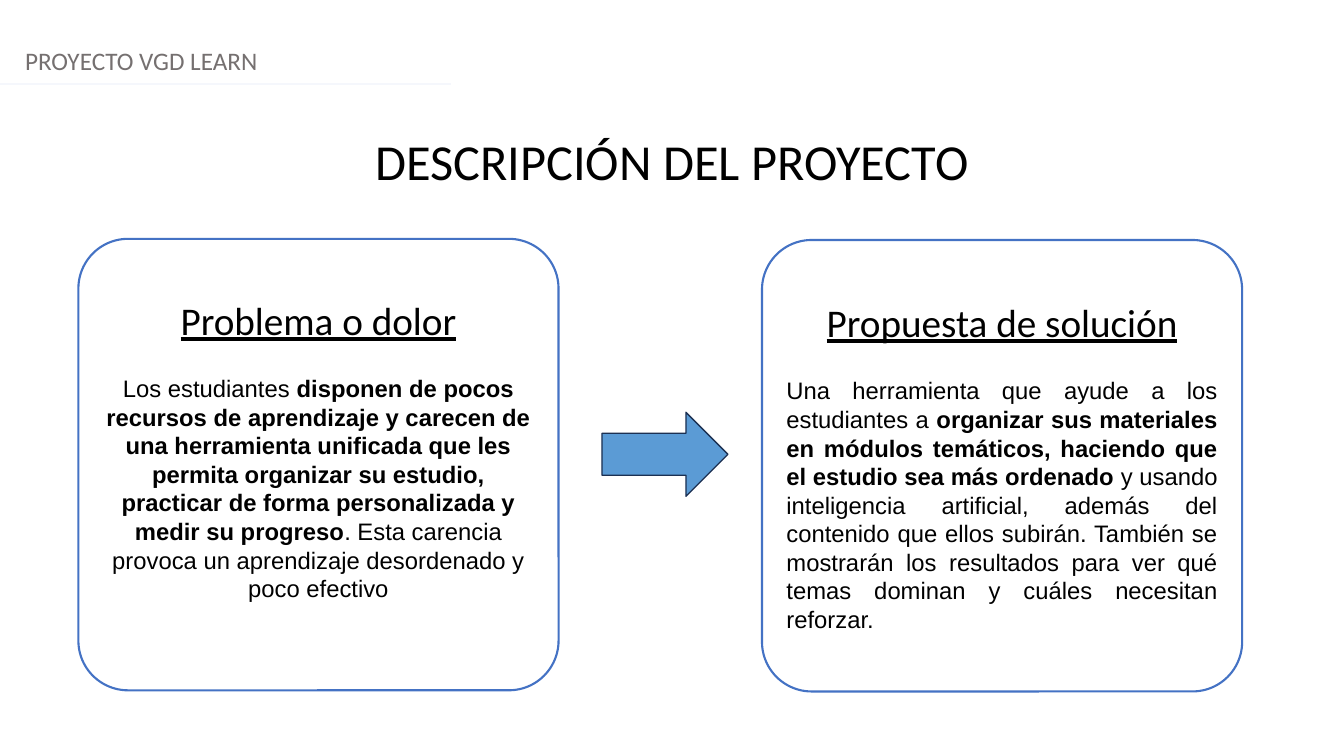
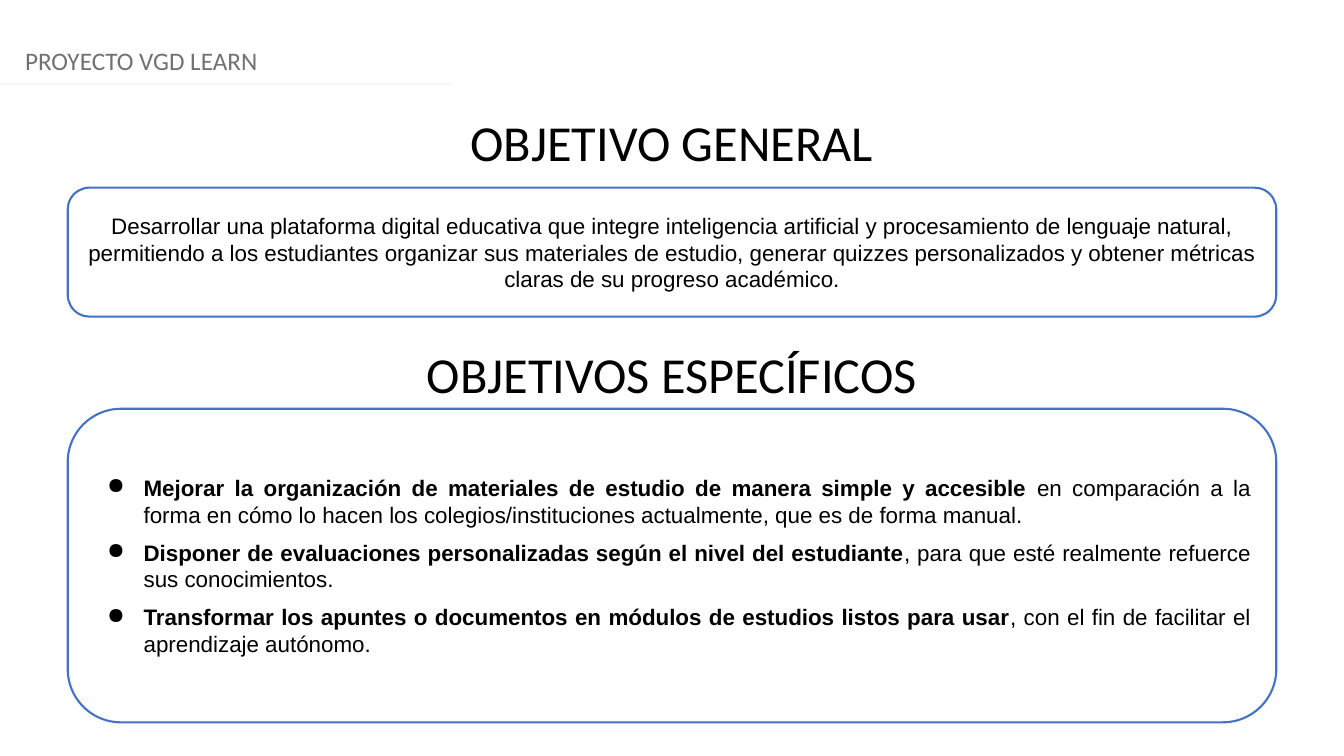
from dataclasses import dataclass

from lxml import etree
from pptx import Presentation
from pptx.dml.color import RGBColor
from pptx.enum import shapes, text
from pptx.oxml import ns
from pptx.util import Pt


@dataclass(frozen=True)
class Theme:
    width: float = 960
    height: float = 540
    heading_font: str = "Calibri"
    body_font: str = "Arial"
    ink: str = "000000"
    header_ink: str = "757070"
    rule: str = "F5F7FC"
    panel: str = "FFFFFF"
    border: str = "4472C4"
    arrow: str = "5B9BD5"
    arrow_border: str = "1C3052"
    header_size: float = 18
    title_size: float = 36
    card_title_size: float = 28
    card_body_size: float = 17
    body_size: float = 16


THEME = Theme()
CENTER = text.PP_ALIGN.CENTER
JUSTIFY = text.PP_ALIGN.JUSTIFY
HEADER = "PROYECTO VGD LEARN"

PROBLEM = [
    ("Los estudiantes ", False),
    ("disponen de pocos recursos de aprendizaje y carecen de una herramienta "
     "unificada que les permita organizar su estudio, practicar de forma "
     "personalizada y medir su progreso", True),
    (". Esta carencia provoca un aprendizaje desordenado y poco efectivo", False),
]
SOLUTION = [
    ("Una herramienta que ayude a los estudiantes a ", False),
    ("organizar sus materiales en módulos temáticos, haciendo que el estudio "
     "sea más ordenado", True),
    (" y usando inteligencia artificial, además del contenido que ellos subirán. "
     "También se mostrarán los resultados para ver qué temas dominan y cuáles "
     "necesitan reforzar.", False),
]
GENERAL_GOAL = [
    ("Desarrollar una plataforma digital educativa que integre inteligencia "
     "artificial y procesamiento de lenguaje natural, permitiendo a los "
     "estudiantes organizar sus materiales de estudio, generar quizzes "
     "personalizados y obtener métricas claras de su progreso académico.", False),
]
SPECIFIC_GOALS = [
    [("Mejorar la organización de materiales de estudio de manera simple y "
      "accesible", True),
     (" en comparación a la forma en cómo lo hacen los colegios/instituciones "
      "actualmente, que es de forma manual.", False)],
    [("Disponer de evaluaciones personalizadas según el nivel del estudiante", True),
     (", para que esté realmente refuerce sus conocimientos.", False)],
    [("Transformar los apuntes o documentos en módulos de estudios listos para "
      "usar", True),
     (", con el fin de facilitar el aprendizaje autónomo.", False)],
]


def points(*values):
    return [Pt(value) for value in values]


def set_attributes(target, values):
    for name, value in values.items():
        setattr(target, name, value)


def fill_paragraph(paragraph, runs, size, font, color=THEME.ink,
                   underline=False, **layout):
    """Write (words, bold) runs; layout holds paragraph attributes."""
    set_attributes(paragraph, layout)
    for words, bold in runs:
        run = paragraph.add_run()
        run.text = words
        set_attributes(run.font, {"size": Pt(size), "name": font, "bold": bold,
                                  "underline": underline})
        run.font.color.rgb = RGBColor.from_string(color)


def add_bullet(paragraph):
    properties = paragraph._p.get_or_add_pPr()
    properties.set("marL", str(Pt(36)))
    properties.set("indent", str(Pt(-26)))
    color = etree.SubElement(properties, ns.qn("a:buClr"))
    etree.SubElement(color, ns.qn("a:srgbClr"), val=THEME.ink)
    etree.SubElement(properties, ns.qn("a:buChar"), char="●")


def add_text_line(slide, box, words, size, color, alignment):
    frame = slide.shapes.add_textbox(*points(*box)).text_frame
    frame.word_wrap = True
    fill_paragraph(frame.paragraphs[0], [(words, False)], size,
                   THEME.heading_font, color, alignment=alignment)


def add_title(slide, top, words):
    add_text_line(slide, (0, top, THEME.width, 51), words,
                  THEME.title_size, THEME.ink, CENTER)


def add_filled_shape(slide, kind, box, fill, border, weight):
    shape = slide.shapes.add_shape(kind, *points(*box))
    shape.shadow.inherit = False
    shape.fill.solid()
    shape.fill.fore_color.rgb = RGBColor.from_string(fill)
    shape.line.color.rgb = RGBColor.from_string(border)
    shape.line.width = Pt(weight)
    return shape


def add_panel(slide, box, rounding):
    """Add an outlined rounded panel and return its text frame."""
    shape = add_filled_shape(slide, shapes.MSO_SHAPE.ROUNDED_RECTANGLE, box,
                             THEME.panel, THEME.border, 1.5)
    shape.adjustments[0] = rounding
    frame = shape.text_frame
    set_attributes(frame, {"word_wrap": True,
                           "vertical_anchor": text.MSO_ANCHOR.MIDDLE})
    return frame


def add_card(slide, box, title, body, alignment, bottom_inset=3.6):
    frame = add_panel(slide, box, 0.11)
    frame.margin_bottom = Pt(bottom_inset)
    fill_paragraph(frame.paragraphs[0], [(title, False)], THEME.card_title_size,
                   THEME.heading_font, underline=True, alignment=CENTER,
                   space_after=Pt(22))
    fill_paragraph(frame.add_paragraph(), body, THEME.card_body_size,
                   THEME.body_font, alignment=alignment)


def add_goal_list(slide, box, goals):
    frame = add_panel(slide, box, 0.17)
    for index, goal in enumerate(goals):
        paragraph = frame.add_paragraph() if index else frame.paragraphs[0]
        last = index == len(goals) - 1
        fill_paragraph(paragraph, goal, THEME.body_size, THEME.body_font,
                       alignment=JUSTIFY, space_before=Pt(8),
                       space_after=Pt(8 if last else 0))
        add_bullet(paragraph)


def add_base_slide(presentation):
    """Add a blank slide with the shared header and its rule."""
    slide = presentation.slides.add_slide(presentation.slide_layouts[6])
    add_text_line(slide, (10.8, 29, 940, 29), HEADER, THEME.header_size,
                  THEME.header_ink, text.PP_ALIGN.LEFT)
    rule = slide.shapes.add_connector(shapes.MSO_CONNECTOR.STRAIGHT,
                                      *points(0, 60, 322, 60))
    rule.line.color.rgb = RGBColor.from_string(THEME.rule)
    rule.line.width = Pt(1.25)
    etree.SubElement(rule._element.spPr, ns.qn("a:effectLst"))
    return slide


def build_description(presentation):
    slide = add_base_slide(presentation)
    add_title(slide, 89.3, "DESCRIPCIÓN DEL PROYECTO")
    card_width, card_height = 343, 322.5
    add_card(slide, (56, 170.6, card_width, card_height),
             "Problema o dolor", PROBLEM, CENTER, bottom_inset=25.6)
    add_card(slide, (544.3, 171.4, card_width, card_height),
             "Propuesta de solución", SOLUTION, JUSTIFY)
    add_filled_shape(slide, shapes.MSO_SHAPE.RIGHT_ARROW, (430, 294.5, 90, 60),
                     THEME.arrow, THEME.arrow_border, 1)


def build_goals(presentation):
    slide = add_base_slide(presentation)
    panel_width = 863.3
    left = (THEME.width - panel_width) / 2
    add_title(slide, 75.6, "OBJETIVO GENERAL")
    add_title(slide, 241.2, "OBJETIVOS ESPECÍFICOS")
    frame = add_panel(slide, (left, 134, panel_width, 92.2), 0.17)
    fill_paragraph(frame.paragraphs[0], GENERAL_GOAL, THEME.body_size,
                   THEME.body_font, alignment=CENTER)
    add_goal_list(slide, (left, 292, panel_width, 224), SPECIFIC_GOALS)


def main():
    presentation = Presentation()
    set_attributes(presentation, {"slide_width": Pt(THEME.width),
                                  "slide_height": Pt(THEME.height)})
    build_description(presentation)
    build_goals(presentation)
    presentation.save("out.pptx")


if __name__ == "__main__":
    main()
